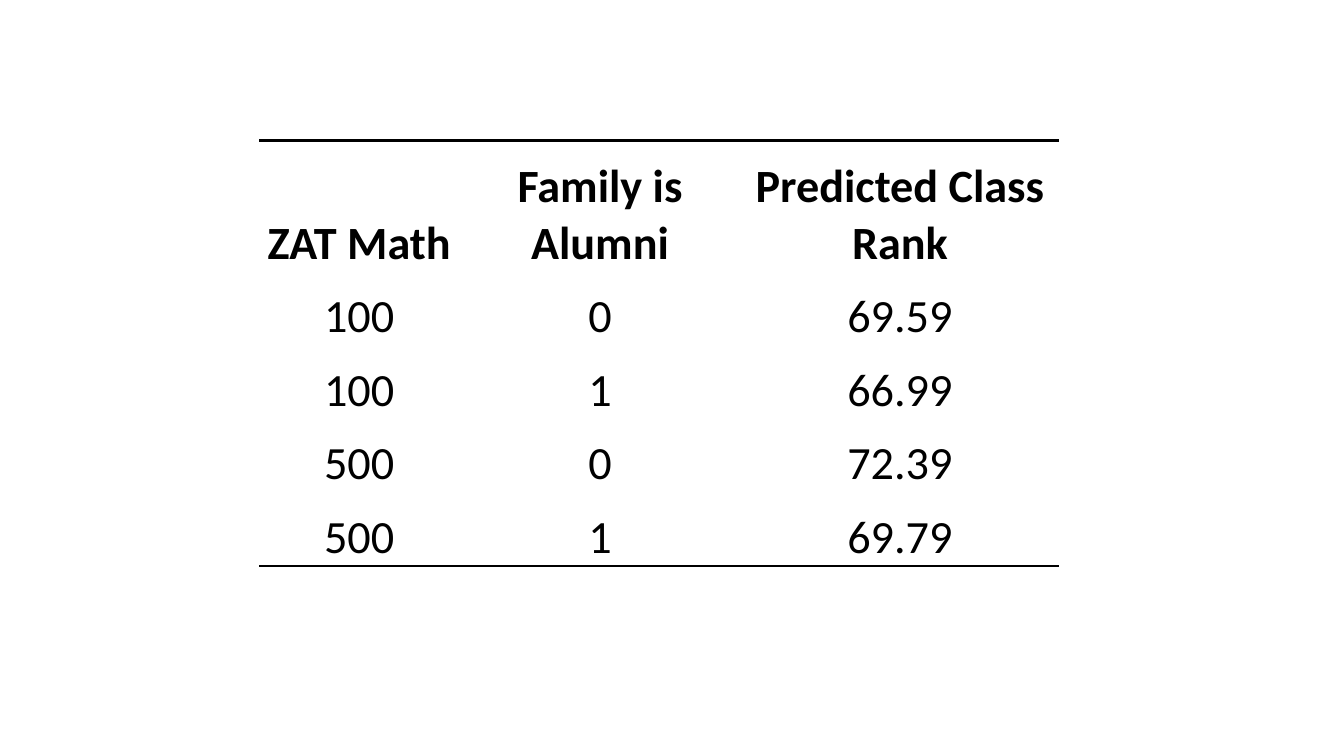
from dataclasses import dataclass

from lxml import etree
from pptx import Presentation
from pptx import util as u
from pptx.dml import color
from pptx.enum import text
from pptx.oxml import ns

COLORS = {"ink": "000000", "paper": "FFFFFF"}
FONT = "Calibri"
TEXT_SIZE = 33
RULE_WIDTH = 2
TABLE_LEFT, TABLE_TOP = 185.3, 100.4
HEADER_HEIGHT, BODY_HEIGHT = 93.6, 52.56
BLANK_LAYOUT = 6


@dataclass(frozen=True)
class Column:
    heading: str
    width: float
    values: tuple[str, ...]


COLUMNS = (
    Column("ZAT Math", 142.56, ("100", "100", "500", "500")),
    Column("Family is Alumni", 201.6, ("0", "1", "0", "1")),
    Column("Predicted Class Rank", 226.8, ("69.59", "66.99", "72.39", "69.79")),
)


def rgb(name: str) -> color.RGBColor:
    return color.RGBColor.from_string(COLORS[name])


def write_text(frame, content: str, *, size: float = TEXT_SIZE, bold: bool = False,
               ink: str = "ink", align=text.PP_ALIGN.CENTER) -> None:
    paragraph = frame.paragraphs[0]
    paragraph.alignment = align
    run = paragraph.add_run()
    run.text = content
    run.font.name = FONT
    run.font.size = u.Pt(size)
    run.font.bold = bold
    run.font.color.rgb = rgb(ink)


def set_borders(cell, ruled_sides: str) -> None:
    """Rule the named sides (from L, R, T, B) and clear the others."""
    properties = cell._tc.get_or_add_tcPr()
    for side in "LRTB":
        line = etree.SubElement(properties, ns.qn(f"a:ln{side}"))
        if side in ruled_sides:
            line.set("w", str(u.Pt(RULE_WIDTH)))
            fill = etree.SubElement(line, ns.qn("a:solidFill"))
            etree.SubElement(fill, ns.qn("a:srgbClr"), val=COLORS["ink"])
        else:
            etree.SubElement(line, ns.qn("a:noFill"))


def format_cell(cell, ruled_sides: str) -> None:
    cell.vertical_anchor = text.MSO_ANCHOR.BOTTOM
    cell.margin_left = cell.margin_right = cell.margin_top = u.Pt(2.16)
    cell.margin_bottom = u.Pt(0)
    set_borders(cell, ruled_sides)
    cell.fill.solid()
    cell.fill.fore_color.rgb = rgb("paper")


def add_rank_table(slide) -> None:
    last_row = len(COLUMNS[0].values)
    width = sum(column.width for column in COLUMNS)
    height = HEADER_HEIGHT + last_row * BODY_HEIGHT
    table = slide.shapes.add_table(
        last_row + 1, len(COLUMNS), u.Pt(TABLE_LEFT), u.Pt(TABLE_TOP),
        u.Pt(width), u.Pt(height)).table
    table.first_row = table.horz_banding = False

    # Row heights
    for index, row in enumerate(table.rows):
        row.height = u.Pt(BODY_HEIGHT if index else HEADER_HEIGHT)

    # Headings and values, ruled above the first row and below the last
    for column_index, column in enumerate(COLUMNS):
        table.columns[column_index].width = u.Pt(column.width)
        for row_index, content in enumerate((column.heading, *column.values)):
            cell = table.cell(row_index, column_index)
            format_cell(cell, {0: "T", last_row: "B"}.get(row_index, ""))
            write_text(cell.text_frame, content, bold=row_index == 0)


def main() -> None:
    presentation = Presentation()
    presentation.slide_width, presentation.slide_height = u.Pt(960), u.Pt(540)
    slide = presentation.slides.add_slide(presentation.slide_layouts[BLANK_LAYOUT])
    add_rank_table(slide)
    presentation.save("out.pptx")


if __name__ == "__main__":
    main()
